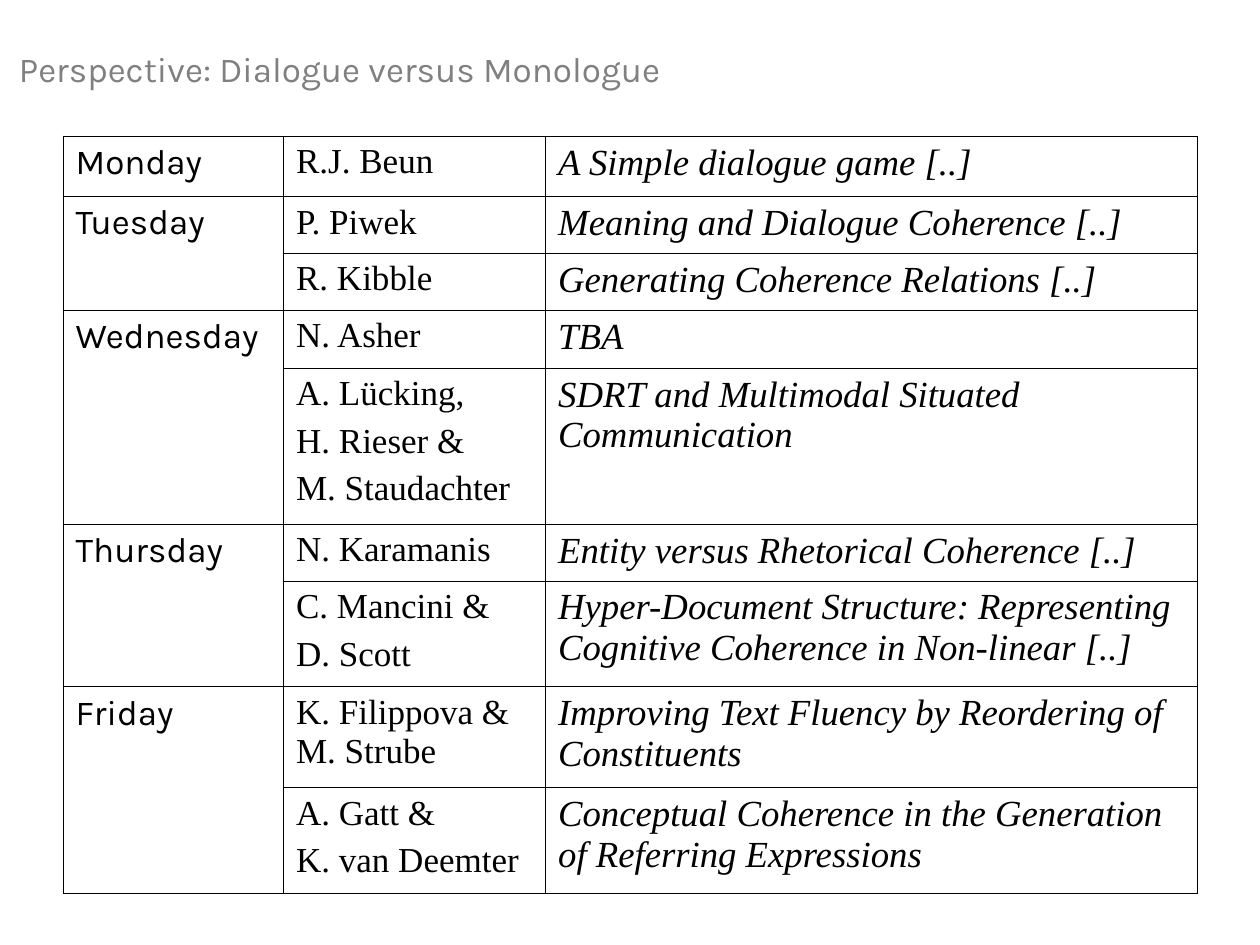
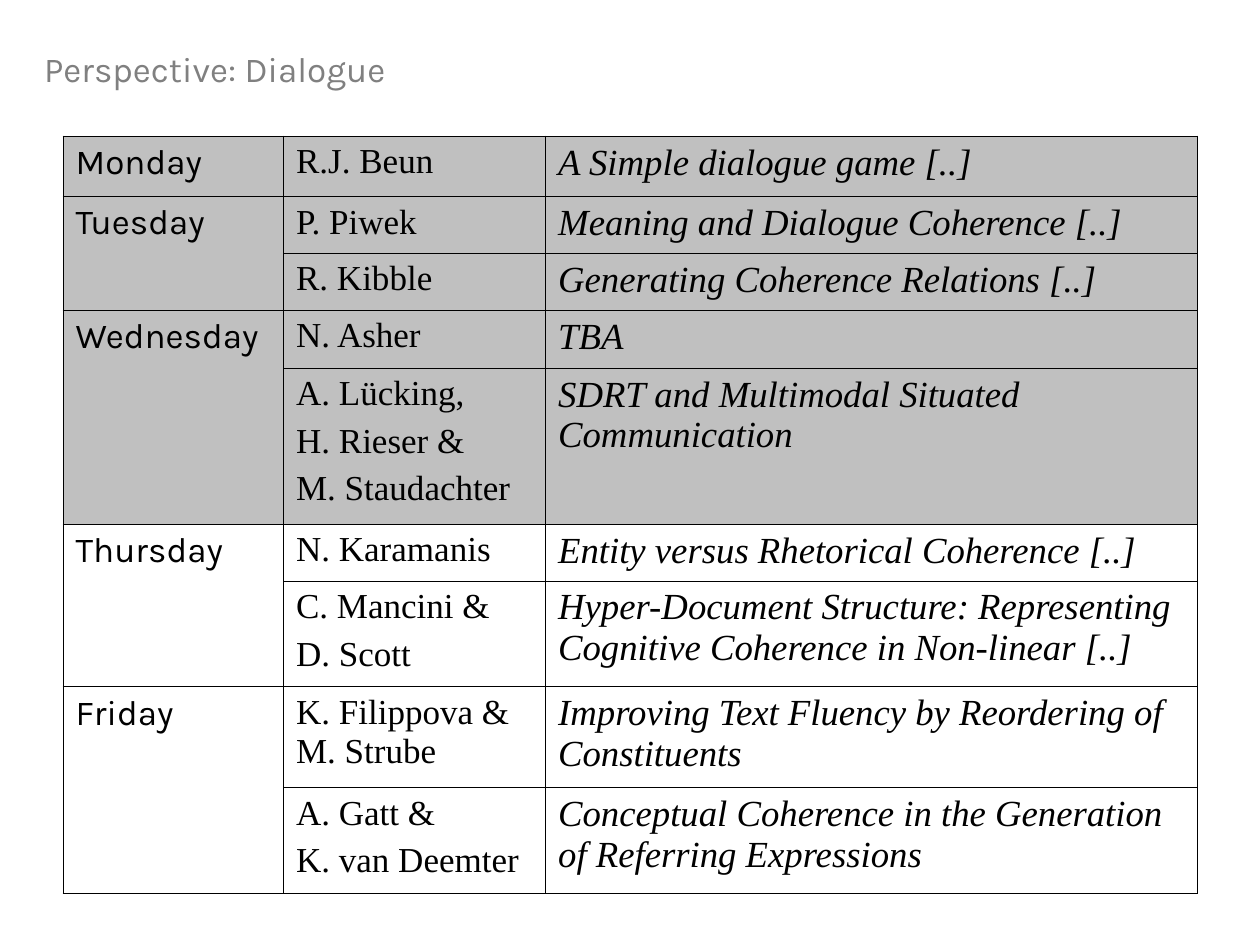
from pptx import Presentation, util as u
from pptx.dml.color import RGBColor
from pptx.enum import text
from pptx.oxml import ns, xmlchemy as xml

PX = 9144
BLACK = RGBColor(0x00, 0x00, 0x00)
WHITE = RGBColor(0xFF, 0xFF, 0xFF)
HEADING_GREY = RGBColor(0x80, 0x80, 0x80)
SHADE_GREY = RGBColor(0xC0, 0xC0, 0xC0)
SANS, SERIF = "Karla", "Times New Roman"

COLUMN_WIDTHS = (175, 208, 517)
ROW_HEIGHTS = (48, 45, 45, 46, 124, 45, 84, 80, 84)
DIALOGUE_DAYS = ("Monday", "Tuesday", "Wednesday")

PROGRAMME = {
    "Monday": [("R.J. Beun", "A Simple dialogue game [..]")],
    "Tuesday": [
        ("P. Piwek", "Meaning and Dialogue Coherence [..]"),
        ("R. Kibble", "Generating Coherence Relations [..]"),
    ],
    "Wednesday": [
        ("N. Asher", "TBA"),
        ("A. Lücking,\nH. Rieser &\nM. Staudachter",
         "SDRT and Multimodal Situated Communication"),
    ],
    "Thursday": [
        ("N. Karamanis", "Entity versus Rhetorical Coherence [..]"),
        ("C. Mancini &\nD. Scott",
         "Hyper-Document Structure: Representing Cognitive Coherence in Non-linear [..]"),
    ],
    "Friday": [
        ("K. Filippova & M. Strube",
         "Improving Text Fluency by Reordering of Constituents"),
        ("A. Gatt &\nK. van Deemter",
         "Conceptual Coherence in the Generation of Referring Expressions"),
    ],
}


def px(length):
    return u.Emu(length * PX)


class Deck:
    def __init__(self):
        self.presentation = Presentation()
        self.presentation.slide_width = px(1000)
        self.presentation.slide_height = px(750)
        self.slide = None

    def new_slide(self):
        layout = self.presentation.slide_layouts[5]
        self.slide = self.presentation.slides.add_slide(layout)

    def style(self, paragraph, font_name, size=20, color=BLACK, italic=False):
        paragraph.alignment = text.PP_ALIGN.LEFT
        font = paragraph.font
        font.name, font.size, font.italic = font_name, u.Pt(size), italic
        font.color.rgb = color

    def heading(self, wording, left, width):
        heading = self.slide.shapes.title
        heading.left, heading.top = px(left), px(33)
        heading.width, heading.height = px(width), px(44)
        frame = heading.text_frame
        frame.text = wording
        frame.word_wrap = False
        frame.auto_size = text.MSO_AUTO_SIZE.SHAPE_TO_FIT_TEXT
        frame.vertical_anchor = text.MSO_ANCHOR.TOP
        self.style(frame.paragraphs[0], SANS, color=HEADING_GREY)

    def borders(self, cell):
        properties = cell._tc.get_or_add_tcPr()
        for position, side in enumerate(("lnL", "lnR", "lnT", "lnB")):
            line = xml.OxmlElement(f"a:{side}")
            line.set("w", str(u.Pt(0.45)))
            fill = xml.OxmlElement("a:solidFill")
            color = xml.OxmlElement("a:srgbClr")
            color.set("val", str(BLACK))
            fill.append(color)
            line.append(fill)
            properties.insert(position, line)

    def fill_cell(self, cell, wording, font_name, size=20, italic=False, gap=5):
        cell.text_frame.text = wording
        for paragraph in cell.text_frame.paragraphs:
            self.style(paragraph, font_name, size, italic=italic)
            paragraph.space_before = u.Pt(gap)

    def programme(self, shaded_days=()):
        frame = self.slide.shapes.add_table(
            len(ROW_HEIGHTS), len(COLUMN_WIDTHS), px(50), px(108),
            px(sum(COLUMN_WIDTHS)), px(sum(ROW_HEIGHTS)))
        table = frame.table
        table.first_row = table.horz_banding = False
        for column, width in zip(table.columns, COLUMN_WIDTHS):
            column.width = px(width)
        for row, height in zip(table.rows, ROW_HEIGHTS):
            row.height = px(height)

        first = 0
        for day, talks in PROGRAMME.items():
            background = SHADE_GREY if day in shaded_days else WHITE
            for index, (speakers, topic) in enumerate(talks, first):
                for cell in table.rows[index].cells:
                    cell.margin_left = cell.margin_right = px(10)
                    cell.margin_top = cell.margin_bottom = px(5)
                    cell.fill.solid()
                    cell.fill.fore_color.rgb = background
                    self.borders(cell)
                self.fill_cell(table.cell(index, 1), speakers, SERIF)
                self.fill_cell(table.cell(index, 2), topic, SERIF, 21, True, 5.2)
            day_cell = table.cell(first, 0)
            last = first + len(talks) - 1
            if last > first:
                day_cell.merge(table.cell(last, 0))
            self.fill_cell(day_cell, day, SANS, gap=0)
            first = last + 1


def main():
    deck = Deck()
    for wording, left, width, shaded_days in (
        ("Perspective: Dialogue versus Monologue", 5, 552, ()),
        ("Perspective: Dialogue", 25, 302, DIALOGUE_DAYS),
    ):
        deck.new_slide()
        deck.programme(shaded_days)
        deck.heading(wording, left, width)
    deck.presentation.save("out.pptx")


if __name__ == "__main__":
    main()
